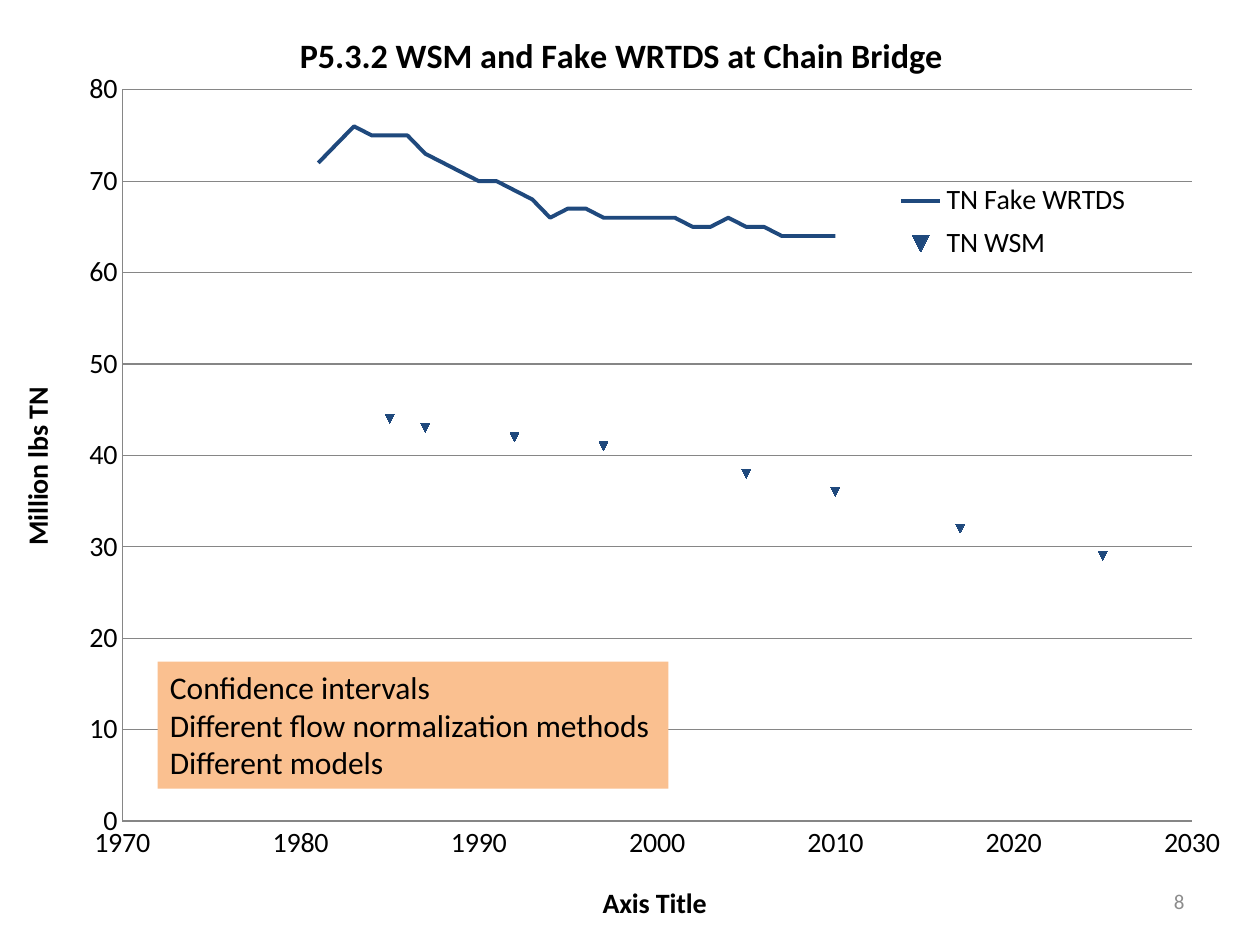
from collections import namedtuple
from dataclasses import dataclass

import pptx
import pptx.chart.data
import pptx.dml.color
import pptx.enum.chart
import pptx.enum.shapes
import pptx.enum.text
import pptx.oxml
import pptx.oxml.ns
import pptx.util

Pt = pptx.util.Pt
Color = pptx.dml.color.RGBColor.from_string
Box = namedtuple("Box", "left top width height")


@dataclass(frozen=True)
class Theme:
    font: str = "Calibri"
    ink: str = "000000"
    navy: str = "1F497D"
    grid: str = "868686"
    peach: str = "FAC090"
    gray: str = "8C8C8C"
    title: float = 19.5
    label: int = 16
    note: int = 18
    number: int = 12


THEME = Theme()
YEARS = [*range(1981, 2011), 2017, 2025]
FLOW_LOADS = dict(zip(YEARS, [
    72, 74, 76, 75, 75, 75, 73, 72, 71, 70,
    70, 69, 68, 66, 67, 67, 66, 66, 66, 66,
    66, 65, 65, 66, 65, 65, 64, 64, 64, 64,
]))
MODEL_LOADS = {1985: 44, 1987: 43, 1992: 42, 1997: 41, 2005: 38, 2010: 36, 2017: 32, 2025: 29}
NOTES = ["Confidence intervals", "Different flow normalization methods", "Different models"]


def style_font(font, size, color=THEME.ink, bold=False):
    font.name = THEME.font
    font.size = Pt(size)
    font.bold = bold
    font.color.rgb = Color(color)


def set_title(title, text, size):
    title.text_frame.text = text
    style_font(title.text_frame.paragraphs[0].runs[0].font, size, bold=True)


def set_layout(element, area, inner=False):
    target = '<c:layoutTarget val="inner"/>' if inner else ""
    modes = "".join(f'<c:{name}Mode val="edge"/>' for name in "xy")
    sizes = "".join(f'<c:{name} val="{value}"/>' for name, value in zip("xywh", area))
    layout = pptx.oxml.parse_xml(
        f'<c:layout {pptx.oxml.ns.nsdecls("c")}><c:manualLayout>'
        f"{target}{modes}{sizes}</c:manualLayout></c:layout>"
    )
    for old in element.findall(pptx.oxml.ns.qn("c:layout")):
        element.remove(old)
    leaders = [pptx.oxml.ns.qn(tag) for tag in ("c:legendPos", "c:tx")]
    element.insert(sum(child.tag in leaders for child in element), layout)


def drop_missing_points(chart):
    for value in list(chart._chartSpace.iter(pptx.oxml.ns.qn("c:v"))):
        if value.text in (None, "", "None"):
            point = value.getparent()
            point.getparent().remove(point)


def style_axis(axis, title, low, high):
    axis.minimum_scale, axis.maximum_scale, axis.major_unit = low, high, 10
    axis.major_tick_mark = axis.minor_tick_mark = pptx.enum.chart.XL_TICK_MARK.NONE
    axis.format.line.color.rgb = Color(THEME.grid)
    axis.tick_labels.number_format = "General"
    axis.tick_labels.number_format_is_linked = False
    style_font(axis.tick_labels.font, THEME.label)
    set_title(axis.axis_title, title, THEME.label)


def add_load_chart(page, box):
    data = pptx.chart.data.XyChartData()
    for name, loads in (("TN Fake WRTDS", FLOW_LOADS), ("TN WSM", MODEL_LOADS)):
        series = data.add_series(name)
        for year in YEARS:
            series.add_data_point(year, loads.get(year))
    kind = pptx.enum.chart.XL_CHART_TYPE.XY_SCATTER_LINES_NO_MARKERS
    chart = page.shapes.add_chart(kind, *map(Pt, box), data).chart
    drop_missing_points(chart)
    style_font(chart.font, THEME.label)
    set_title(chart.chart_title, "P5.3.2 WSM and Fake WRTDS at Chain Bridge", THEME.title)
    set_layout(chart.chart_title._element, (0.233, 0.027))

    style_axis(chart.category_axis, "Axis Title", 1970, 2030)
    style_axis(chart.value_axis, "Million lbs TN", 0, 80)
    chart.category_axis.has_major_gridlines = False
    chart.value_axis.has_major_gridlines = True
    chart.value_axis.major_gridlines.format.line.color.rgb = Color(THEME.grid)

    plot = chart.plots[0]
    plot.vary_by_categories = False
    flow, model = plot.series
    flow.smooth = model.smooth = False
    flow.format.line.color.rgb = Color(THEME.navy)
    flow.format.line.width = Pt(2.25)
    model.format.line.fill.background()
    model.marker.style = pptx.enum.chart.XL_MARKER_STYLE.AUTOMATIC
    model.marker.size = 5
    model.marker.format.fill.solid()
    model.marker.format.fill.fore_color.rgb = Color(THEME.navy)
    model.marker.format.line.color.rgb = Color(THEME.navy)
    for tag in ("c:idx", "c:order"):
        model._element.find(pptx.oxml.ns.qn(tag)).set("val", "2")

    chart.has_legend = True
    chart.legend.position = pptx.enum.chart.XL_LEGEND_POSITION.RIGHT
    chart.legend.include_in_layout = False
    style_font(chart.legend.font, THEME.label)
    set_layout(chart.legend._element, (0.704, 0.185, 0.2, 0.1))
    set_layout(chart._chartSpace.chart.plotArea, (0.097, 0.095, 0.849, 0.774), inner=True)


def add_notes(page, box):
    panel = page.shapes.add_shape(pptx.enum.shapes.MSO_SHAPE.RECTANGLE, *map(Pt, box))
    panel.shadow.inherit = False
    panel.fill.solid()
    panel.fill.fore_color.rgb = Color(THEME.peach)
    panel.line.fill.background()
    frame = panel.text_frame
    frame.word_wrap = False
    frame.auto_size = pptx.enum.text.MSO_AUTO_SIZE.SHAPE_TO_FIT_TEXT
    frame.vertical_anchor = pptx.enum.text.MSO_ANCHOR.TOP
    frame.text = "\n".join(NOTES)
    for para in frame.paragraphs:
        para.alignment = pptx.enum.text.PP_ALIGN.LEFT
        style_font(para.runs[0].font, THEME.note)


def add_page_number(page, box, number):
    frame = page.shapes.add_textbox(*map(Pt, box)).text_frame
    frame.word_wrap = True
    frame.vertical_anchor = pptx.enum.text.MSO_ANCHOR.MIDDLE
    frame.text = str(number)
    para = frame.paragraphs[0]
    para.alignment = pptx.enum.text.PP_ALIGN.RIGHT
    style_font(para.runs[0].font, THEME.number, THEME.gray)


def main():
    deck = pptx.Presentation()
    deck.slide_width, deck.slide_height = Pt(720), Pt(540)
    page = deck.slides.add_slide(deck.slide_layouts[6])
    add_page_number(page, Box(516, 500.5, 168, 28.75), 8)
    add_load_chart(page, Box(0, 0, 720, 540))
    add_notes(page, Box(90, 378, 292, 72.7))
    deck.save("out.pptx")


if __name__ == "__main__":
    main()
